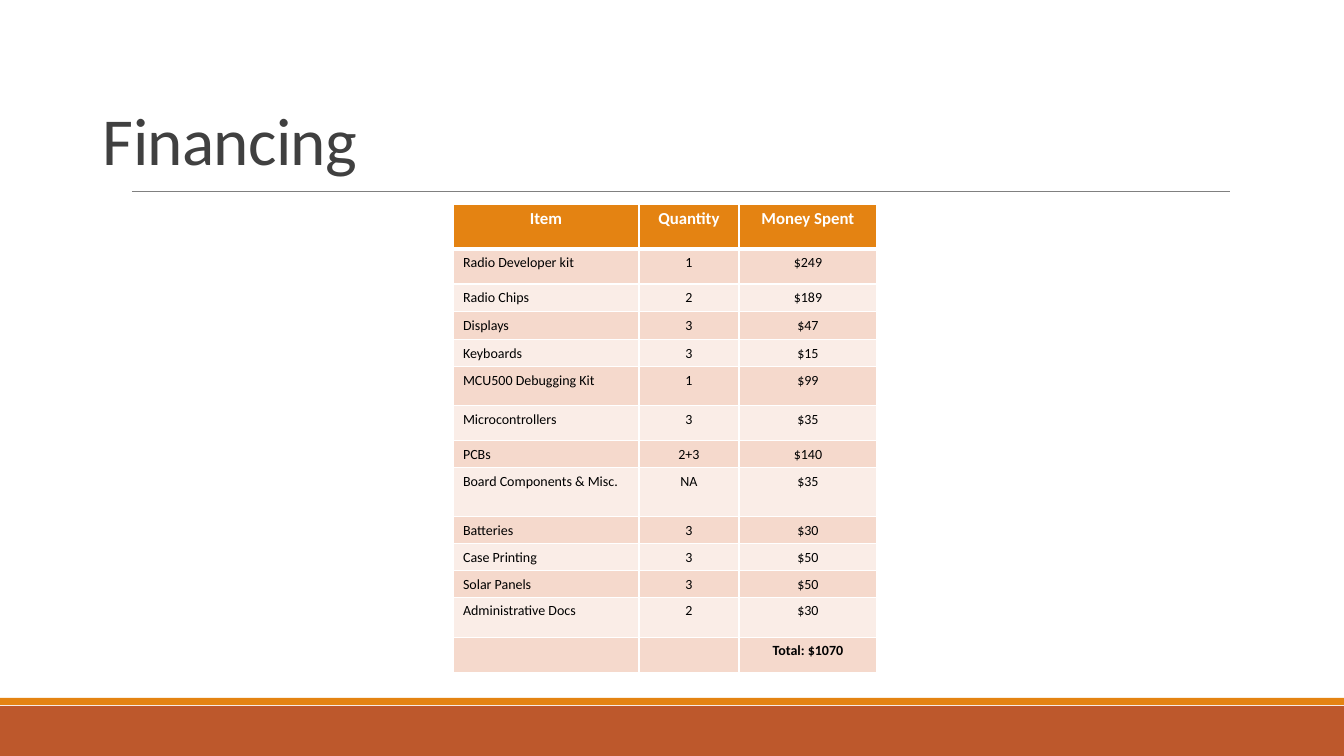
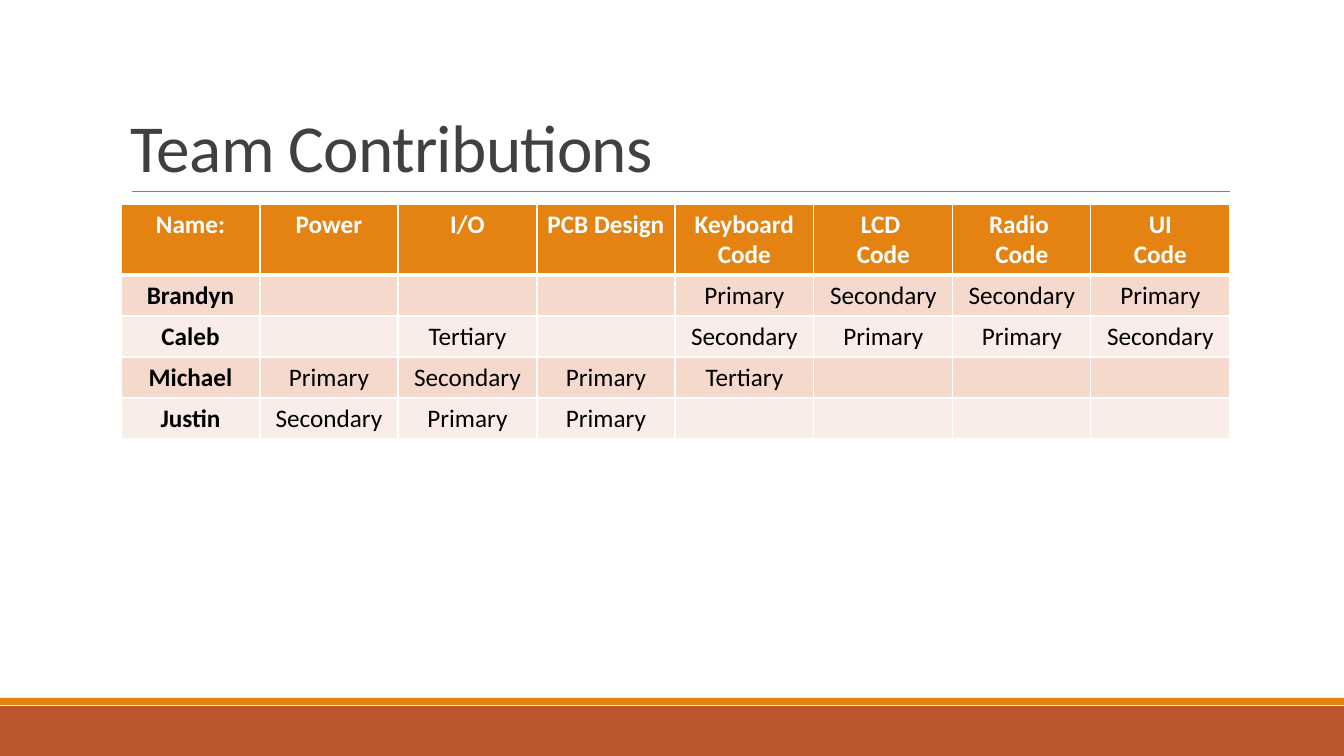
import dataclasses
import typing

import lxml.etree
import pptx
import pptx.dml.color
import pptx.enum.shapes
import pptx.enum.text
import pptx.oxml.ns
import pptx.util

EMU_PER_PX = 12192000 / 1344
LEFT = pptx.enum.text.PP_ALIGN.LEFT
CENTER = pptx.enum.text.PP_ALIGN.CENTER
qn = pptx.oxml.ns.qn


@dataclasses.dataclass(frozen=True)
class Theme:
    font: str = "Calibri"
    footer: str = "BD582C"
    accent: str = "E48312"
    rule: str = "808080"
    title: str = "404040"
    body: str = "000000"
    white: str = "FFFFFF"
    stripes: tuple[str, str] = ("F5D9CC", "FAEDE7")
    title_pt: int = 48
    title_tracking: int = -50
    rule_pt: float = 0.5
    border_pt: int = 1
    header_border_pt: int = 3


class Box(typing.NamedTuple):
    left: int
    top: int
    width: int
    height: int


class Band(typing.NamedTuple):
    box: Box
    color: str


@dataclasses.dataclass(frozen=True)
class Grid:
    left: int
    top: int
    columns: tuple[int, ...]
    heights: tuple[int, ...]
    rows: tuple[tuple[str, ...], ...]
    header_pt: int
    body_pt: int
    first_column_align: pptx.enum.text.PP_ALIGN = CENTER
    bold_first_column: bool = False
    bold_last_row: bool = False


@dataclasses.dataclass(frozen=True)
class Page:
    title: str
    title_box: Box
    grid: Grid


def even_widths(total: int, count: int) -> tuple[int, ...]:
    edges = [round(total * i / count) for i in range(count + 1)]
    return tuple(end - start for start, end in zip(edges, edges[1:]))


THEME = Theme()
BANDS = (
    Band(Box(0, 706, 1344, 50), THEME.footer),
    Band(Box(0, 698, 1344, 7), THEME.accent),
)

FINANCING = Page(
    "Financing",
    Box(93, 38, 1159, 146),
    Grid(
        left=453,
        top=204,
        columns=(186, 100, 138),
        heights=(45, 35, 28, 28, 27, 39, 35, 27, 49, 27, 27, 27, 40, 35),
        rows=(
            ("Item", "Quantity", "Money Spent"),
            ("Radio Developer kit", "1", "$249"),
            ("Radio Chips", "2", "$189"),
            ("Displays", "3", "$47"),
            ("Keyboards", "3", "$15"),
            ("MCU500 Debugging Kit", "1", "$99"),
            ("Microcontrollers", "3", "$35"),
            ("PCBs", "2+3", "$140"),
            ("Board Components & Misc.", "NA", "$35"),
            ("Batteries", "3", "$30"),
            ("Case Printing", "3", "$50"),
            ("Solar Panels", "3", "$50"),
            ("Administrative Docs", "2", "$30"),
            ("", "", "Total: $1070"),
        ),
        header_pt=12,
        body_pt=10,
        first_column_align=LEFT,
        bold_last_row=True,
    ),
)

CONTRIBUTIONS = Page(
    "Team Contributions",
    Box(121, 31, 1109, 160),
    Grid(
        left=121,
        top=204,
        columns=even_widths(1109, 8),
        heights=(71, 41, 41, 41, 41),
        rows=(
            ("Name:", "Power", "I/O", "PCB Design", "Keyboard Code",
             "LCD \nCode", "Radio \nCode", "UI\nCode"),
            ("Brandyn", "", "", "", "Primary", "Secondary", "Secondary", "Primary"),
            ("Caleb", "", "Tertiary", "", "Secondary", "Primary", "Primary", "Secondary"),
            ("Michael", "Primary", "Secondary", "Primary", "Tertiary", "", "", ""),
            ("Justin", "Secondary", "Primary", "Primary", "", "", "", ""),
        ),
        header_pt=18,
        body_pt=18,
        bold_first_column=True,
    ),
)


def px(length: int) -> pptx.util.Emu:
    return pptx.util.Emu(round(length * EMU_PER_PX))


def rgb(color: str) -> pptx.dml.color.RGBColor:
    return pptx.dml.color.RGBColor.from_string(color)


def apply_formats(target: typing.Any, formats: dict[str, typing.Any]) -> None:
    for attribute, value in formats.items():
        setattr(target, attribute, value)


def style_font(font: typing.Any, size: int, color: str, bold: bool = False) -> None:
    apply_formats(font, {"name": THEME.font, "size": pptx.util.Pt(size), "bold": bold})
    font.color.rgb = rgb(color)


def draw_band(slide: typing.Any, band: Band) -> None:
    strip = slide.shapes.add_shape(
        pptx.enum.shapes.MSO_SHAPE.RECTANGLE, *map(px, band.box))
    strip.shadow.inherit = False
    strip.fill.solid()
    strip.fill.fore_color.rgb = rgb(band.color)
    strip.line.fill.background()


def draw_frame(slide: typing.Any) -> None:
    for band in BANDS:
        draw_band(slide, band)
    rule = slide.shapes.add_connector(
        pptx.enum.shapes.MSO_CONNECTOR.STRAIGHT, px(132), px(191), px(1230), px(191))
    rule.line.color.rgb = rgb(THEME.rule)
    rule.line.width = pptx.util.Pt(THEME.rule_pt)
    lxml.etree.SubElement(rule._element.spPr, qn("a:effectLst"))


def draw_title(slide: typing.Any, text: str, box: Box) -> None:
    frame = slide.shapes.add_textbox(*map(px, box)).text_frame
    apply_formats(frame, {
        "word_wrap": True,
        "vertical_anchor": pptx.enum.text.MSO_ANCHOR.BOTTOM,
        "text": text,
    })
    heading = frame.paragraphs[0]
    heading.line_spacing = 0.85
    run = heading.runs[0]
    style_font(run.font, THEME.title_pt, THEME.title)
    run._r.get_or_add_rPr().set("spc", str(THEME.title_tracking))


def draw_borders(cell: typing.Any, top_pt: int, bottom_pt: int) -> None:
    properties = cell._tc.get_or_add_tcPr()
    widths = {"lnL": THEME.border_pt, "lnR": THEME.border_pt,
              "lnT": top_pt, "lnB": bottom_pt}
    for side, points in widths.items():
        edge = lxml.etree.SubElement(
            properties, qn(f"a:{side}"), w=str(pptx.util.Pt(points)))
        fill = lxml.etree.SubElement(edge, qn("a:solidFill"))
        lxml.etree.SubElement(fill, qn("a:srgbClr"), val=THEME.white)


def draw_cell(cell: typing.Any, grid: Grid, row: int, column: int) -> None:
    header = row == 0
    size = grid.header_pt if header else grid.body_pt
    color = THEME.white if header else THEME.body
    bold = (header or (grid.bold_first_column and column == 0)
            or (grid.bold_last_row and row == len(grid.rows) - 1))
    align = grid.first_column_align if column == 0 and not header else CENTER

    draw_borders(
        cell,
        THEME.header_border_pt if row == 1 else THEME.border_pt,
        THEME.header_border_pt if header else THEME.border_pt)
    cell.fill.solid()
    cell.fill.fore_color.rgb = rgb(
        THEME.accent if header else THEME.stripes[(row - 1) % 2])

    cell.text_frame.text = grid.rows[row][column]
    for paragraph in cell.text_frame.paragraphs:
        paragraph.alignment = align
        for run in paragraph.runs:
            style_font(run.font, size, color, bold)
        if not paragraph.runs:
            lxml.etree.SubElement(
                paragraph._p, qn("a:endParaRPr"), sz=str(size * 100))


def draw_grid(slide: typing.Any, grid: Grid) -> None:
    table = slide.shapes.add_table(
        len(grid.rows), len(grid.columns), px(grid.left), px(grid.top),
        px(sum(grid.columns)), px(sum(grid.heights))).table
    apply_formats(table, {"first_row": False, "horz_banding": False})
    for column, width in zip(table.columns, grid.columns):
        column.width = px(width)
    for row, height in zip(table.rows, grid.heights):
        row.height = px(height)
    for r in range(len(grid.rows)):
        for c in range(len(grid.columns)):
            draw_cell(table.cell(r, c), grid, r, c)


def main() -> None:
    deck = pptx.Presentation()
    apply_formats(deck, {"slide_width": px(1344), "slide_height": px(756)})
    for page in (FINANCING, CONTRIBUTIONS):
        slide = deck.slides.add_slide(deck.slide_layouts[6])
        draw_frame(slide)
        draw_title(slide, page.title, page.title_box)
        draw_grid(slide, page.grid)
    deck.save("out.pptx")


if __name__ == "__main__":
    main()
